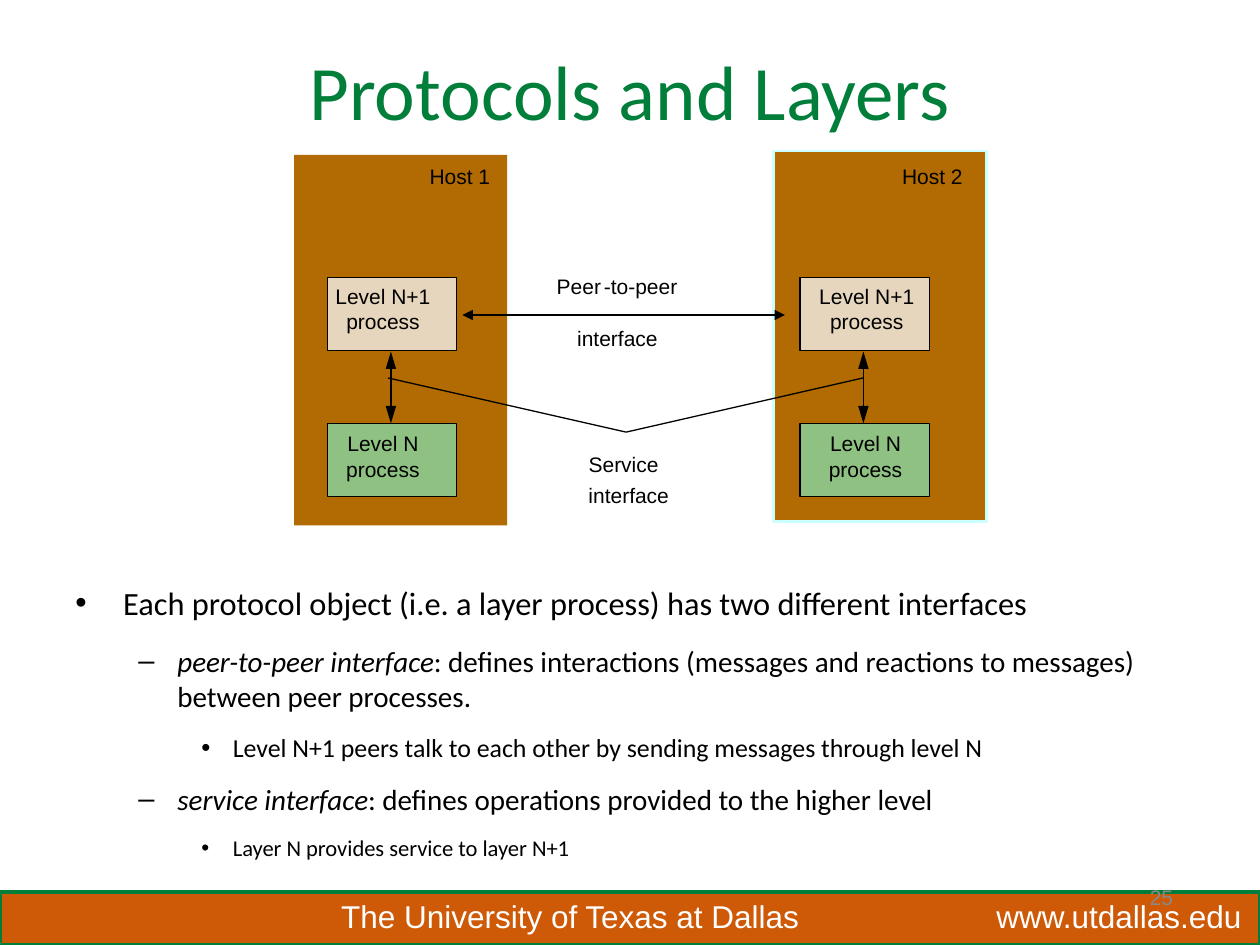
from lxml import etree
from pptx import Presentation
from pptx.dml.color import RGBColor
from pptx.enum.shapes import MSO_CONNECTOR, MSO_SHAPE
from pptx.enum.text import MSO_ANCHOR, MSO_AUTO_SIZE, PP_ALIGN
from pptx.oxml.ns import qn
from pptx.util import Inches, Pt

LEFT, CENTER, RIGHT = PP_ALIGN.LEFT, PP_ALIGN.CENTER, PP_ALIGN.RIGHT
TOP, MIDDLE = MSO_ANCHOR.TOP, MSO_ANCHOR.MIDDLE
FIT_SHAPE, FIXED = MSO_AUTO_SIZE.SHAPE_TO_FIT_TEXT, MSO_AUTO_SIZE.NONE
RECTANGLE, STRAIGHT = MSO_SHAPE.RECTANGLE, MSO_CONNECTOR.STRAIGHT

THEME = {
    "green": RGBColor.from_string("007E3A"),
    "orange": RGBColor.from_string("CE5A08"),
    "host": RGBColor.from_string("B26B02"),
    "host_edge": RGBColor.from_string("CCFFFF"),
    "upper": RGBColor.from_string("E6D6BD"),
    "lower": RGBColor.from_string("8EC182"),
    "black": RGBColor.from_string("000000"),
    "white": RGBColor.from_string("FFFFFF"),
    "grey": RGBColor.from_string("898989"),
    "title_size": 44, "footer_size": 18, "label_size": 12,
    "heading_font": "Calibri", "label_font": "Arial",
}

# Grid of 100 columns by 75 rows, with square cells
prs = Presentation()
prs.slide_width, prs.slide_height = Inches(10), Inches(7.5)
CELL = prs.slide_width // 100
slide = prs.slides.add_slide(prs.slide_layouts[6])
shapes = slide.shapes


def text_area(at, inset=0, wrap=False, anchor=TOP):
    """Add a text box at grid (left, top, width, height); return its frame."""
    frame = shapes.add_textbox(*[round(v * CELL) for v in at]).text_frame
    frame.margin_left = frame.margin_right = round(inset * CELL)
    frame.margin_top = frame.margin_bottom = round(inset * CELL / 2)
    frame.word_wrap, frame.vertical_anchor = wrap, anchor
    frame.auto_size = FIXED if wrap else FIT_SHAPE
    return frame


def write(paragraph, text, size=THEME["label_size"], color="black",
          font="label_font", align=CENTER, italic=False):
    """Append a formatted run to a paragraph."""
    paragraph.alignment = align
    run = paragraph.add_run()
    run.text = text
    run.font.size, run.font.name = Pt(size), THEME[font]
    run.font.color.rgb, run.font.italic = THEME[color], italic


# Rectangles: footer bar, hosts and their processes
HOST_LEFTS, PROCESS_LEFTS = (23.35, 61.4), (26, 63.5)
PROCESS_W, PROCESS_H = 10.25, 5.8
UPPER_TOP, LOWER_TOP = 22, 33.6
panels = [
    ((0, 70.8, 100, 4.2), "orange", "green", 2),
    ((HOST_LEFTS[0], 12.3, 16.9, 29.4), "host", None, 0),
    ((HOST_LEFTS[1], 12, 16.9, 29.4), "host", "host_edge", 1.5),
]
for left in PROCESS_LEFTS:
    for top, fill in ((UPPER_TOP, "upper"), (LOWER_TOP, "lower")):
        panels.append(((left, top, PROCESS_W, PROCESS_H), fill, "black", 0.75))
for at, fill, edge, weight in panels:
    panel = shapes.add_shape(RECTANGLE, *[round(v * CELL) for v in at])
    panel.shadow.inherit = False
    panel.fill.solid()
    panel.fill.fore_color.rgb = THEME[fill]
    if edge:
        panel.line.color.rgb, panel.line.width = THEME[edge], Pt(weight)
    else:
        panel.line.fill.background()

# Double arrows: between peers, and between the levels of each host
arrows = [((36.7, 25), (62.3, 25), "med")]
for left in PROCESS_LEFTS:
    middle = left + PROCESS_W / 2 - 0.1
    arrows.append(((middle, UPPER_TOP + PROCESS_H + 0.1),
                   (middle, LOWER_TOP), "lg"))
for start, end, head_length in arrows:
    arrow = shapes.add_connector(
        STRAIGHT, *[round(v * CELL) for v in start + end])
    arrow.line.color.rgb, arrow.line.width = THEME["black"], Pt(0.75)
    line = arrow.line._get_or_add_ln()
    for end_tag in ("a:headEnd", "a:tailEnd"):
        etree.SubElement(line, qn(end_tag), type="triangle", w="med",
                         len=head_length)
    etree.SubElement(arrow._element.spPr, qn("a:effectLst"))

# Pointer from the service label to both vertical arrows
pointer_points = [(round(x * CELL), round(y * CELL))
                  for x, y in ((30.8, 30), (49.7, 34.3), (68.5, 30))]
builder = shapes.build_freeform(*pointer_points[0])
builder.add_line_segments(pointer_points[1:], close=False)
pointer = builder.convert_to_shape()
pointer.shadow.inherit = False
pointer.fill.background()
pointer.line.color.rgb, pointer.line.width = THEME["black"], Pt(0.75)

# Diagram labels, each with a little slack on both sides
SLACK = 0.4
labels = [
    ("Host 1", (34.1, 13, 4.8, 2)),
    ("Host 2", (71.6, 13, 4.8, 2)),
    ("Peer", (44.2, 21.7, 3.5, 2)),
    ("-to-peer", (47.9, 21.7, 5.9, 2)),
    ("interface", (45.8, 25.8, 6.4, 2)),
    ("Service", (46.7, 35.8, 5.6, 2)),
    ("interface", (46.7, 38.3, 6.4, 2)),
]
for upper_left, lower_left in ((26.6, 27.5), (65, 65.8)):
    labels.append(("Level N+1\nprocess", (upper_left, 22.5, 7.6, 4)))
    labels.append(("Level N\nprocess", (lower_left, 34.2, 5.8, 4)))
for label, (left, top, width, height) in labels:
    frame = text_area((left - SLACK, top, width + 2 * SLACK, height))
    for index, words in enumerate(label.split("\n")):
        write(frame.add_paragraph() if index else frame.paragraphs[0], words)

# Title
title = text_area((5, 3, 90, 7.8), inset=1, wrap=True)
write(title.paragraphs[0], "Protocols and Layers", size=THEME["title_size"],
      color="green", font="heading_font")

# Bullets: level, size, space before, space after, (text, italic) runs
LEVELS = (("•", 0.38, -0.38), ("–", 0.81, -0.31), ("•", 1.25, -0.25))
bullets = [
    (0, 18.5, 0, 7.5, [("Each protocol object (i.e. a layer process) has two "
                        "different interfaces", False)]),
    (1, 16.6, 4.5, 6.8, [("peer-to-peer interface", True),
                         (": defines interactions (messages and reactions to "
                          "messages) between peer processes.", False)]),
    (2, 14.8, 4, 6, [("Level N+1 peers talk to each other by sending messages "
                      "through level N", False)]),
    (1, 16.6, 4.5, 6.8, [("service interface", True),
                         (": defines operations provided to the higher level",
                          False)]),
    (2, 12.9, 3.5, 5.2, [("Layer N provides service to layer N+1", False)]),
]
body = text_area((5, 45.8, 90, 23.3), inset=1, wrap=True)
for index, (level, size, before, after, runs) in enumerate(bullets):
    paragraph = body.add_paragraph() if index else body.paragraphs[0]
    mark, margin, indent = LEVELS[level]
    paragraph.level = level
    properties = paragraph._p.get_or_add_pPr()
    properties.set("marL", str(Inches(margin)))
    properties.set("indent", str(Inches(indent)))
    etree.SubElement(properties, qn("a:buFont"), typeface=THEME["label_font"])
    etree.SubElement(properties, qn("a:buChar"), char=mark)
    paragraph.space_before, paragraph.space_after = Pt(before), Pt(after)
    for text, italic in runs:
        write(paragraph, text, size=size, font="heading_font", align=LEFT,
              italic=italic)

# Footer texts and slide number
for text, at in (("The University of Texas at Dallas", (26.1, 70.7, 38.7, 4)),
                 ("www.utdallas.edu", (78.1, 70.7, 21.6, 4))):
    write(text_area(at, inset=1).paragraphs[0], text,
          size=THEME["footer_size"], color="white", align=LEFT)
number = text_area((70.8, 69.2, 23.3, 4), inset=1, wrap=True, anchor=MIDDLE)
write(number.paragraphs[0], "25", color="grey", align=RIGHT)

prs.save("out.pptx")
